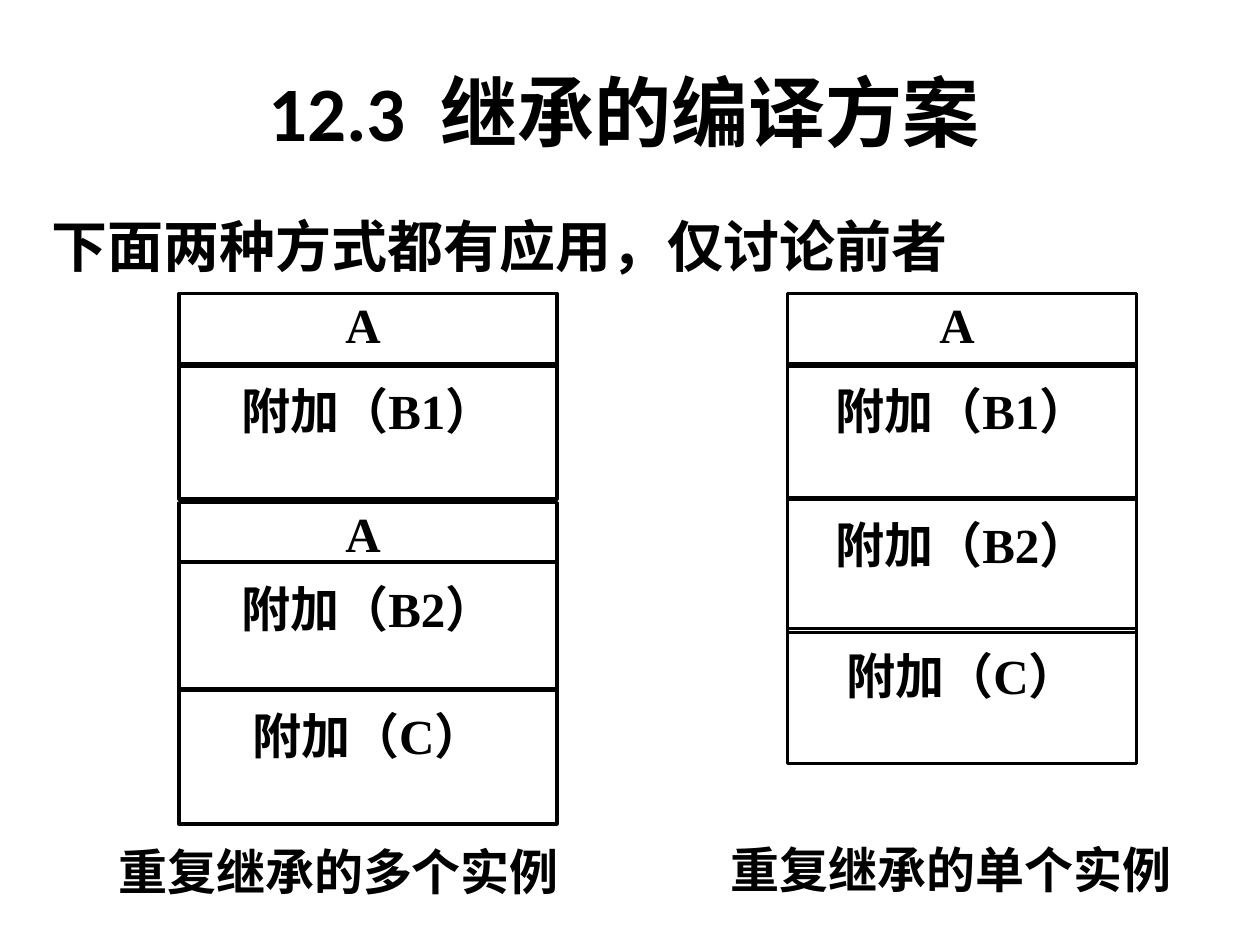
from lxml import etree
from pptx import Presentation
from pptx import util as u
from pptx.dml.color import RGBColor
from pptx.enum import shapes, text
from pptx.oxml.ns import qn

COLORS = {"ink": "000000"}
LATIN, CHINESE = "Times New Roman", "Noto Sans CJK SC"
CELL_INSETS = (0.02, 0.13, 0.02, 0.09)
HEADER_INSETS = (0.02, 0.01, 0.1, 0.01)
CAPTION_INSETS = (0.02, 0.01, 0.02, 0.01)


class SlideBuilder:
    def __init__(self, slide):
        self.slide = slide
        self.ink = RGBColor.from_string(COLORS["ink"])

    def add_text(self, shape, runs, size, align, insets=None, anchor=text.MSO_ANCHOR.TOP):
        """Fill a shape with one paragraph of (wording, Latin font) runs."""
        frame = shape.text_frame
        layout = {"word_wrap": True, "vertical_anchor": anchor}
        if insets:
            sides = ("margin_left", "margin_top", "margin_right", "margin_bottom")
            layout.update(zip(sides, map(u.Inches, insets)))
        for name, value in layout.items():
            setattr(frame, name, value)
        paragraph = frame.paragraphs[0]
        paragraph.alignment = align
        for wording, font_name in runs:
            run = paragraph.add_run()
            run.text = wording
            run.font.color.rgb = self.ink
            for name, value in {"name": font_name, "size": u.Pt(size), "bold": True}.items():
                setattr(run.font, name, value)
            latin = run.font._element.find(qn("a:latin"))
            east_asian = etree.Element(qn("a:ea"), typeface=CHINESE)
            latin.addnext(east_asian)

    def text_box(self, box, runs, size, align, **layout):
        shape = self.slide.shapes.add_textbox(*map(u.Inches, box))
        self.add_text(shape, runs, size, align, **layout)

    def cell(self, group, box, label, insets):
        shape = group.shapes.add_shape(shapes.MSO_SHAPE.RECTANGLE, *map(u.Inches, box))
        shape.shadow.inherit = False
        shape.fill.background()
        shape.line.color.rgb = self.ink
        shape.line.width = u.Pt(2)
        self.add_text(shape, [(label, LATIN)], 28, text.PP_ALIGN.CENTER, insets)

    def memory_layout(self, left, width, cells):
        """Stack labelled cells, given as (label, top, height), in one group."""
        group = self.slide.shapes.add_group_shape()
        for label, top, height in cells:
            insets = HEADER_INSETS if label == "A" else CELL_INSETS
            self.cell(group, (left, top, width, height), label, insets)

    def caption(self, left, top, wording):
        self.text_box((left, top, 3.8, 0.49), [(wording, LATIN)], 28,
                      text.PP_ALIGN.JUSTIFY, insets=CAPTION_INSETS)


def main():
    presentation = Presentation()
    presentation.slide_width, presentation.slide_height = u.Inches(10), u.Inches(7.5)
    builder = SlideBuilder(presentation.slides.add_slide(presentation.slide_layouts[6]))
    middle = text.MSO_ANCHOR.MIDDLE

    builder.text_box((0.33, 0.25, 9.25, 1.25),
                     [("12.3  ", "Calibri"), ("继承的编译方案", CHINESE)],
                     44, text.PP_ALIGN.CENTER, anchor=middle)
    builder.text_box((0.31, 1.57, 9, 0.75), [("下面两种方式都有应用，仅讨论前者", LATIN)],
                     32, text.PP_ALIGN.LEFT, anchor=middle)

    shared_cells = [("A", 2.33, 0.58), ("附加（B1）", 2.89, 1.07)]
    builder.memory_layout(1.42, 3, shared_cells + [
        ("A", 3.99, 0.47), ("附加（B2）", 4.46, 1.02), ("附加（C）", 5.47, 1.07)])
    builder.memory_layout(6.25, 2.77, shared_cells + [
        ("附加（B2）", 3.95, 1.07), ("附加（C）", 4.99, 1.07)])

    builder.caption(0.92, 6.67, "重复继承的多个实例")
    builder.caption(5.78, 6.65, "重复继承的单个实例")
    presentation.save("out.pptx")


if __name__ == "__main__":
    main()
